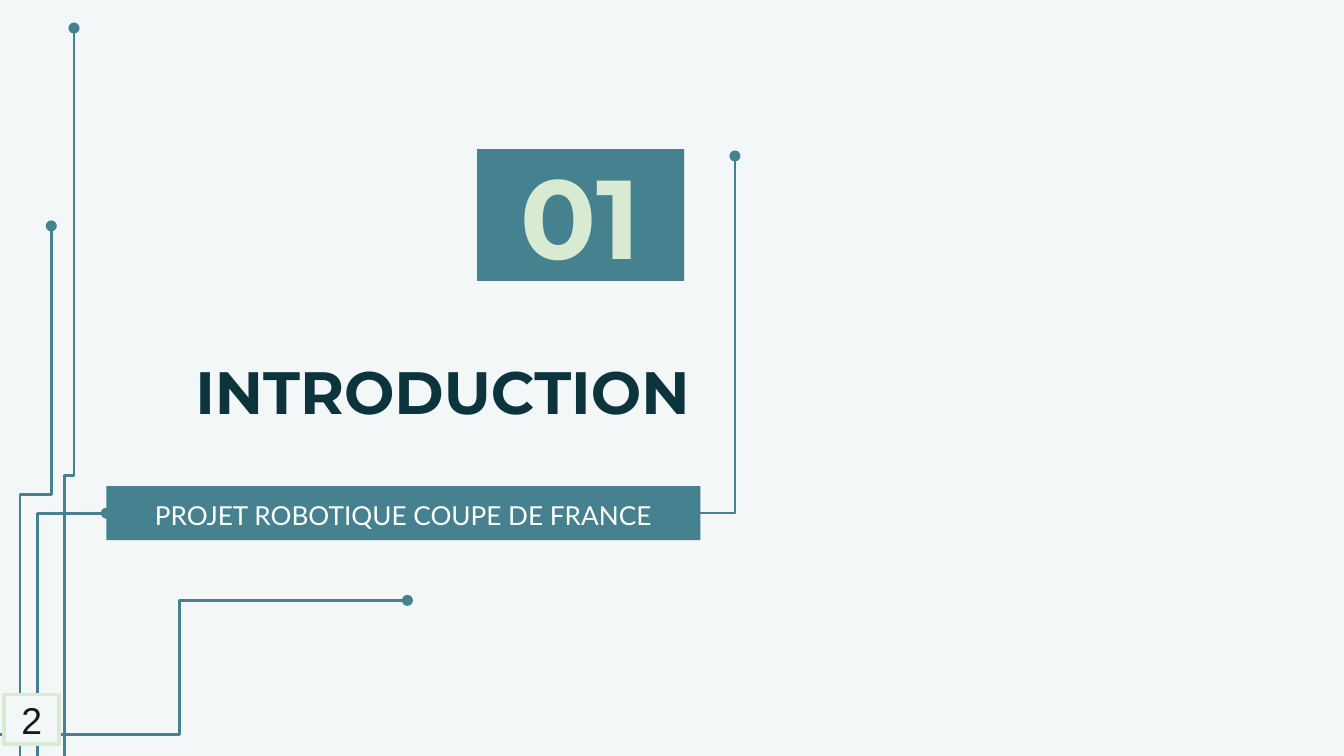
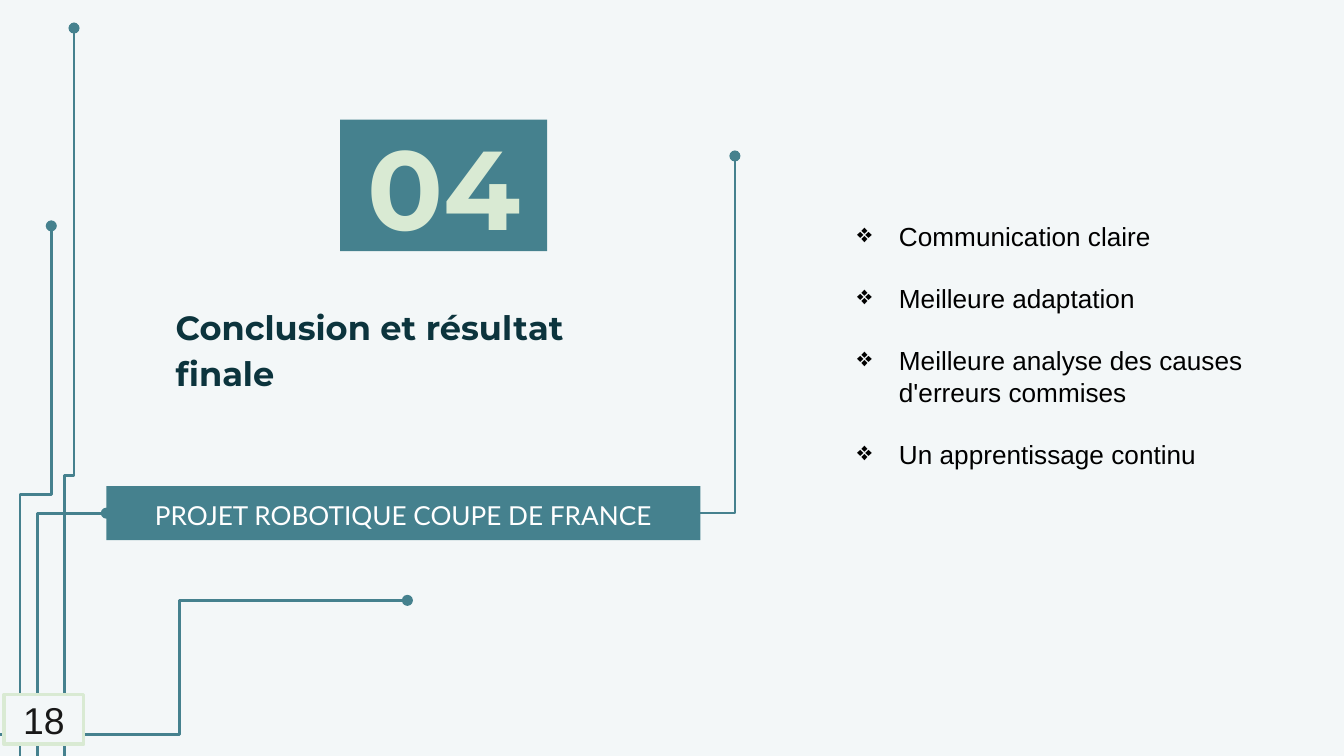
from lxml import etree
from pptx import Presentation
from pptx import util as u
from pptx.dml.color import RGBColor
from pptx.enum import shapes, text
from pptx.oxml.ns import qn

TEAL, DARK, MINT, PALE = "45818E", "0C343D", "D9EAD3", "F3F7F8"
BAND = "PROJET ROBOTIQUE COUPE DE FRANCE"
LEFT, MID, RIGHT = text.PP_ALIGN.LEFT, text.PP_ALIGN.CENTER, text.PP_ALIGN.RIGHT
TOP, CORE, BASE = (text.MSO_ANCHOR.TOP, text.MSO_ANCHOR.MIDDLE,
                   text.MSO_ANCHOR.BOTTOM)

# begin, end, number of bends, starts upward
TRACKS = [
    ((0.71, 15.32), (2.01, 9.7), 1, True),
    ((1.22, 17.45), (1.4, 0.53), 2, True),
    ((0.38, 14.43), (0.97, 4.27), 2, True),
    ((13.23, 9.7), (13.89, 2.95), 1, False),
    ((-0.91, 13.89), (7.7, 11.35), 2, False),
]
SLIDES = [
    dict(num="01", spot=(9.02, 2.82), title="INTRODUCTION",
         box=(2.06, 5.97, 11.23, 2.34), size=32, align=RIGHT,
         page="2", wide=1.04, points=[]),
    dict(num="04", spot=(6.43, 2.26), title="Conclusion et résultat finale",
         box=(3.07, 6.27, 9.19, 1.42), size=18, align=LEFT,
         page="18", wide=1.5,
         points=["Communication claire", "Meilleure adaptation",
                 "Meilleure analyse des causes d'erreurs commises",
                 "Un apprentissage continu"]),
]


def rgb(code):
    return RGBColor.from_string(code)


def track(slide, start, end, bends, up):
    (x1, y1), (x2, y2) = start, end
    if up:
        cx, cy = (x1 + x2) / 2, (y1 + y2) / 2
        dx, dy = (y1 - y2) / 2, (x2 - x1) / 2
        x1, y1, x2, y2 = cx - dx, cy - dy, cx + dx, cy + dy
    line = slide.shapes.add_connector(
        shapes.MSO_CONNECTOR.ELBOW, *map(u.Cm, (x1, y1, x2, y2)))
    line.line.color.rgb = rgb(TEAL)
    line.line.width = u.Pt(1.5)
    props = line._element.spPr
    props.find(qn("a:prstGeom")).set("prst", f"bentConnector{bends + 1}")
    if up:
        props.find(qn("a:xfrm")).set("rot", "16200000")
    etree.SubElement(props.find(qn("a:ln")), qn("a:tailEnd"), type="oval")
    etree.SubElement(props, qn("a:effectLst"))


def frame(shape, anchor, inset=None):
    body = shape.text_frame
    body.word_wrap = True
    body.vertical_anchor = anchor
    if inset:
        body.margin_left = body.margin_right = u.Cm(inset)
        body.margin_top = body.margin_bottom = u.Cm(inset)
    return body


def write(para, words, face, size, color, align=LEFT, bold=False, space=1):
    para.text = words
    para.alignment = align
    para.line_spacing = space
    font = para.font
    font.name, font.size, font.bold = face, u.Pt(size), bold
    font.color.rgb = rgb(color)


def label(slide, box):
    return slide.shapes.add_textbox(*map(u.Cm, box))


def block(slide, box, fill, edge=None):
    shape = slide.shapes.add_shape(
        shapes.MSO_SHAPE.RECTANGLE, *map(u.Cm, box))
    shape.shadow.inherit = False
    shape.fill.solid()
    shape.fill.fore_color.rgb = rgb(fill)
    if edge:
        shape.line.color.rgb = rgb(edge)
        shape.line.width = u.Pt(2)
    else:
        shape.line.fill.background()
    return shape


def bullets(slide, points):
    body = frame(label(slide, (15.95, 4.04, 8.51, 6.83)), TOP)
    for i, words in enumerate(points):
        para = body.add_paragraph() if i else body.paragraphs[0]
        props = para._p.get_or_add_pPr()
        props.set("marL", str(u.Cm(0.79)))
        props.set("indent", str(-u.Cm(0.79)))
        etree.SubElement(props, qn("a:buChar"), char="❖")
        write(para, words, "Arial", 14, "000000")
        if i:
            para.space_before = u.Pt(16.5)


def build(deck, data):
    slide = deck.slides.add_slide(deck.slide_layouts[6])
    slide.background.fill.solid()
    slide.background.fill.fore_color.rgb = rgb(PALE)
    for item in TRACKS:
        track(slide, *item)
    body = frame(label(slide, data["box"]), BASE, 0.25)
    write(body.paragraphs[0], data["title"], "Montserrat", data["size"],
          DARK, data["align"], True, 1.15)
    body = frame(block(slide, (2.01, 9.19, 11.23, 1.02), TEAL), CORE, 0.25)
    write(body.paragraphs[0], BAND, "Lato", 14, "FFFFFF", MID, space=1.15)
    body = frame(block(slide, (*data["spot"], 3.91, 2.49), TEAL), CORE, 0.25)
    write(body.paragraphs[0], data["num"], "Montserrat", 60, MINT, MID, True)
    if data["points"]:
        bullets(slide, data["points"])
    box = (0.08, 13.13, data["wide"], 0.94)
    body = frame(block(slide, box, PALE, MINT), CORE)
    write(body.paragraphs[0], data["page"], "Arial", 20, "181818", MID)


def main():
    """Build the two section slides."""
    deck = Presentation()
    deck.slide_width, deck.slide_height = u.Cm(25.4), u.Cm(14.29)
    for data in SLIDES:
        build(deck, data)
    deck.save("out.pptx")


if __name__ == "__main__":
    main()
